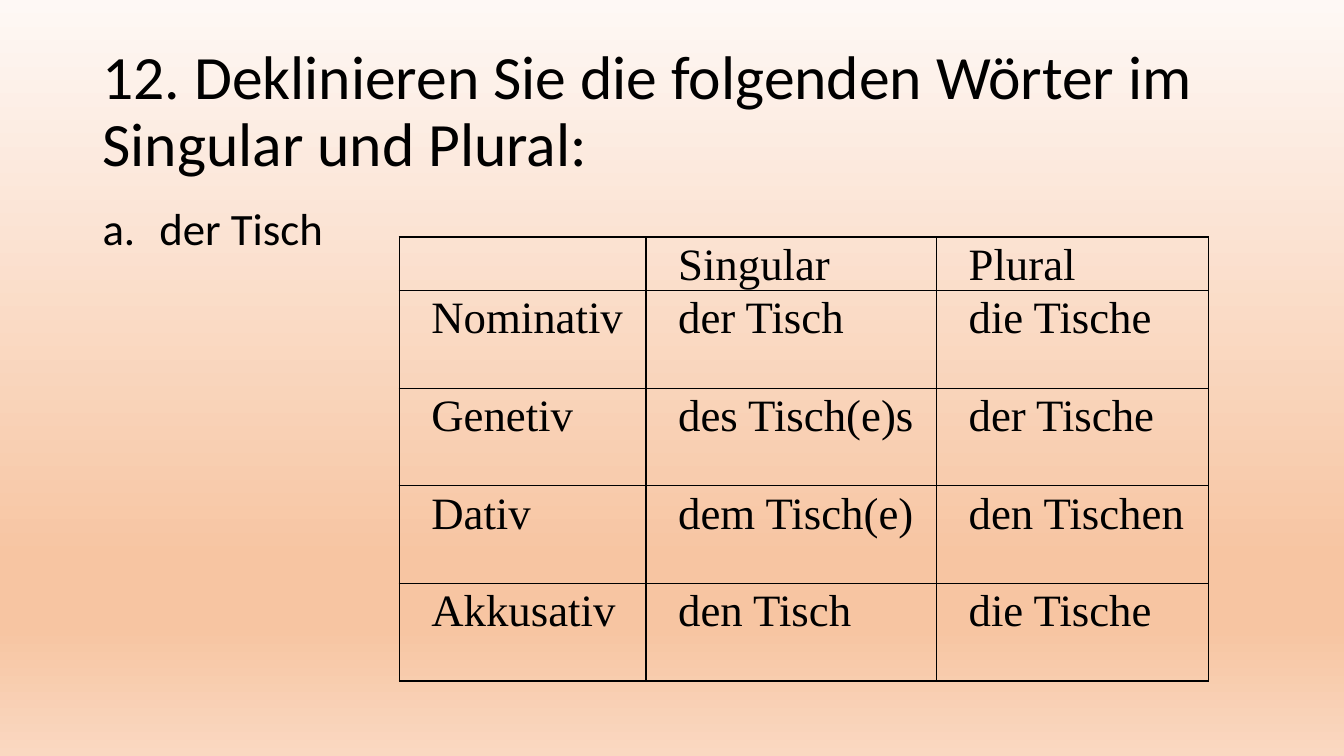
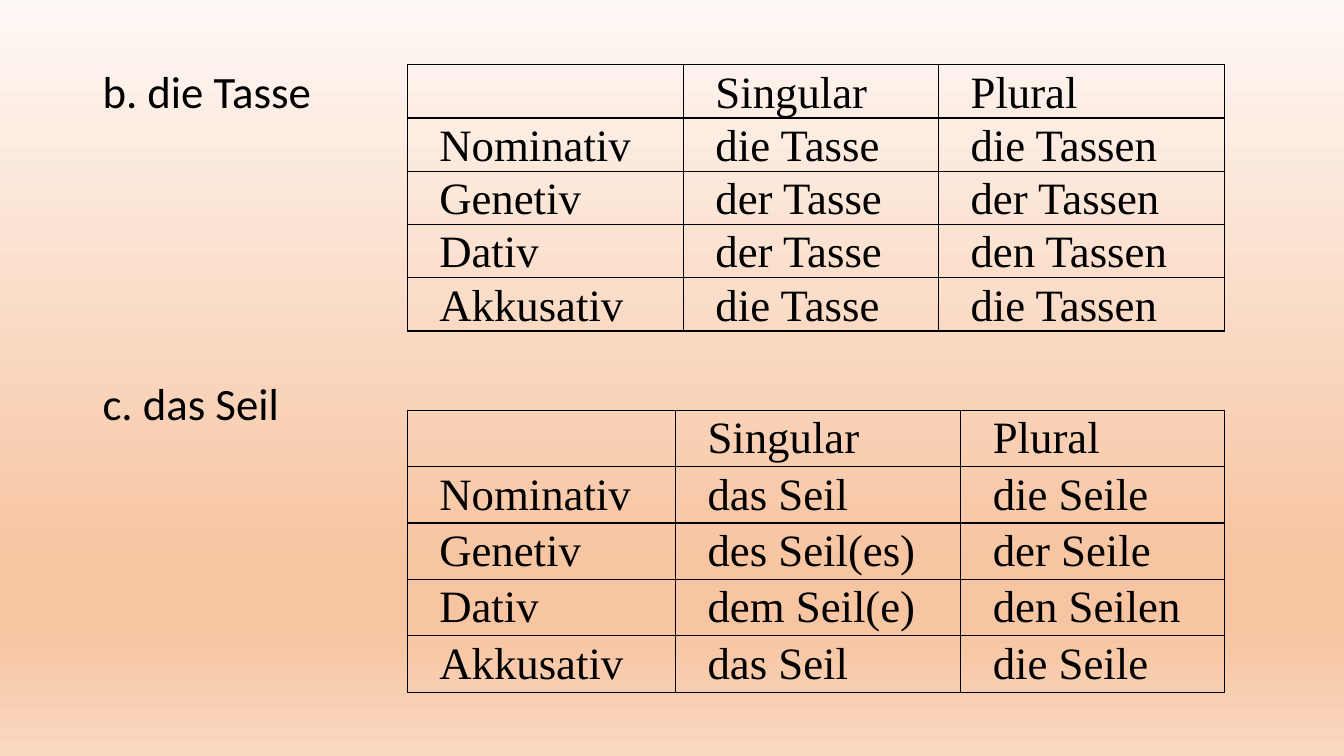
"""Build two slides of German noun declension tables."""
import pptx
import pptx.dml.color
import pptx.enum.text
import pptx.oxml.ns
import pptx.util
from lxml import etree

Cm = pptx.util.Cm
Pt = pptx.util.Pt
qn = pptx.oxml.ns.qn

COLORS = {"text": "000000", "border": "000000", "top": "FEF8F5", "peach": "F7C5A2", "bottom": "FAD8C1"}
GRADIENT = [(0, "top"), (74, "peach"), (83, "peach"), (100, "bottom")]
CASES = ["Nominativ", "Genetiv", "Dativ", "Akkusativ"]
LEFT, WIDTH = Cm(2.33), Cm(29.21)


def format_paragraph(para, size, font, line_spacing, margin=0, indent=0):
    """Set the font, line spacing and indents of a paragraph."""
    para.alignment = pptx.enum.text.PP_ALIGN.LEFT
    para.line_spacing = line_spacing
    properties = para._p.get_or_add_pPr()
    properties.set("marL", str(Cm(margin)))
    properties.set("indent", str(Cm(indent)))
    for span in para.runs:
        span.font.size = Pt(size)
        span.font.name = font
        span.font.color.rgb = pptx.dml.color.RGBColor.from_string(COLORS["text"])


def add_declension(slide, left, top, widths, heights, singular, plural):
    """Add a bordered table with the four cases of one noun."""
    rows = [("", "Singular", "Plural"), *zip(CASES, singular, plural)]
    frame = slide.shapes.add_table(len(rows), len(widths), Cm(left), Cm(top), Cm(sum(widths)), Cm(sum(heights)))
    table = frame.table
    table.first_row = table.horz_banding = False
    for column, width in zip(table.columns, widths):
        column.width = Cm(width)
    for row, height, words in zip(table.rows, heights, rows):
        row.height = Cm(height)
        for cell, word in zip(row.cells, words):
            cell.margin_left, cell.margin_right = Cm(0.18), Cm(0.2)
            cell.margin_top = cell.margin_bottom = 0
            cell_properties = cell._tc.get_or_add_tcPr()
            for side in ("a:lnL", "a:lnR", "a:lnT", "a:lnB"):
                line = etree.SubElement(cell_properties, qn(side), w=str(Pt(1)))
                fill = etree.SubElement(line, qn("a:solidFill"))
                etree.SubElement(fill, qn("a:srgbClr"), val=COLORS["border"])
            cell.fill.background()
            cell.text_frame.text = word
            para = cell.text_frame.paragraphs[0]
            para.space_after = Pt(0.2)
            format_paragraph(para, 32, "Times New Roman", 1.07, 0.66, -0.03)


deck = pptx.Presentation()
deck.slide_width, deck.slide_height = Cm(33.87), Cm(19.05)
layout = deck.slide_layouts[1]

background = deck.slide_master.background.fill
background.gradient()
background.gradient_angle = 270
stops = deck.slide_master.element.find(".//" + qn("a:gsLst"))
for stop in list(stops):
    stops.remove(stop)
for position, color in GRADIENT:
    stop = etree.SubElement(stops, qn("a:gs"), pos=str(position * 1000))
    etree.SubElement(stop, qn("a:srgbClr"), val=COLORS[color])

SLIDES = [
    {
        "title": "12. Deklinieren Sie die folgenden Wörter im Singular und Plural:",
        "top": 5.08, "height": 12.09, "numbered": True,
        "nouns": [("der Tisch", 10)],
        "tables": [
            (10.06, 5.97, [6.22, 7.32, 6.86], [1.35] + [2.46] * 4,
             ["der Tisch", "des Tisch(e)s", "dem Tisch(e)", "den Tisch"],
             ["die Tische", "der Tische", "den Tischen", "die Tische"]),
        ],
    },
    {
        "title": None,
        "top": 1.63, "height": 15.52, "numbered": False,
        "nouns": [("b. die Tasse", 10), ("c. das Seil", 188)],
        "tables": [
            (10.26, 1.63, [6.96, 6.43, 7.21], [1.34] * 5,
             ["die Tasse", "der Tasse", "der Tasse", "die Tasse"],
             ["die Tassen", "der Tassen", "den Tassen", "die Tassen"]),
            (10.26, 10.34, [6.76, 7.19, 6.65], [1.42] * 5,
             ["das Seil", "des Seil(es)", "dem Seil(e)", "das Seil"],
             ["die Seile", "der Seile", "den Seilen", "die Seile"]),
        ],
    },
]

for content in SLIDES:
    slide = deck.slides.add_slide(layout)
    title, body = slide.shapes.title, slide.placeholders[1]
    if content["title"]:
        title.left, title.top, title.width, title.height = LEFT, Cm(1.01), WIDTH, Cm(3.68)
        title.text_frame.text = content["title"]
        title.text_frame.auto_size = pptx.enum.text.MSO_AUTO_SIZE.NONE
        format_paragraph(title.text_frame.paragraphs[0], 44, "Calibri", 0.9)
    else:
        title.element.getparent().remove(title.element)

    body.left, body.top, body.width, body.height = LEFT, Cm(content["top"]), WIDTH, Cm(content["height"])
    body.text_frame.text = "\n".join(noun for noun, gap in content["nouns"])
    body.text_frame.auto_size = pptx.enum.text.MSO_AUTO_SIZE.NONE
    hanging = 1.43 if content["numbered"] else 0
    for para, (noun, gap) in zip(body.text_frame.paragraphs, content["nouns"]):
        para.space_before = Pt(gap)
        format_paragraph(para, 32, "Calibri", 0.9, hanging, -hanging)
        properties = para._p.get_or_add_pPr()
        if content["numbered"]:
            etree.SubElement(properties, qn("a:buFont"), typeface="+mj-lt")
            etree.SubElement(properties, qn("a:buAutoNum"), type="alphaLcPeriod")
        else:
            etree.SubElement(properties, qn("a:buNone"))

    for table in content["tables"]:
        add_declension(slide, *table)

deck.save("out.pptx")
